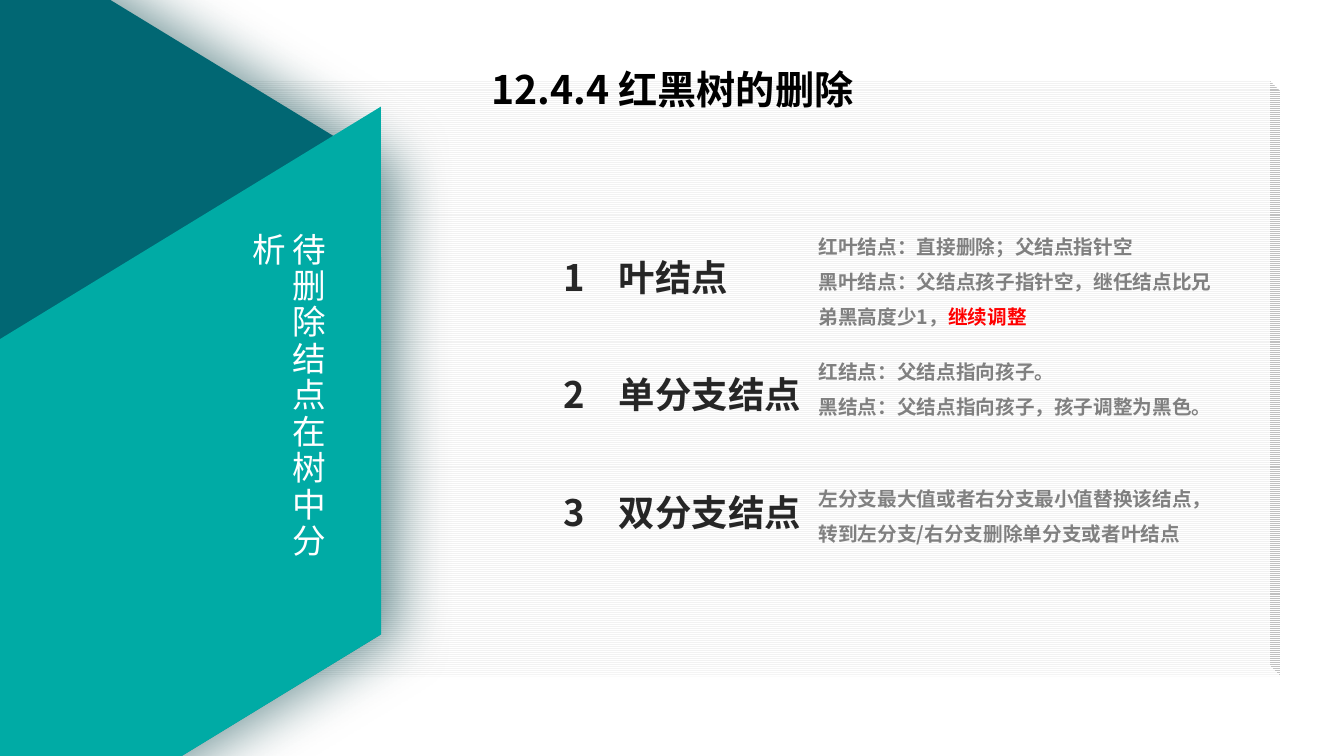
"""Build the slide on deleting nodes from a red-black tree."""
from lxml.etree import SubElement
from pptx import Presentation
from pptx.dml.color import RGBColor
from pptx.enum.dml import MSO_PATTERN
from pptx.enum.shapes import MSO_SHAPE as SHAPE
from pptx.enum.text import MSO_ANCHOR as ANCHOR, PP_ALIGN as ALIGN
from pptx.oxml import parse_xml
from pptx.oxml.ns import nsdecls, qn
from pptx.util import Inches, Pt

WHITE = RGBColor(0xFF, 0xFF, 0xFF)
BLACK = RGBColor(0x00, 0x00, 0x00)
PALE = RGBColor(0xF2, 0xF2, 0xF2)
DARK = RGBColor(0x26, 0x26, 0x26)
GRAY = RGBColor(0x80, 0x80, 0x80)
RED = RGBColor(0xFF, 0x00, 0x00)
TEAL = RGBColor(0x00, 0xAB, 0xA5)
DEEP = RGBColor(0x01, 0x67, 0x73)
DEEP_END = RGBColor(0x00, 0x76, 0x84)
SANS = "Noto Sans CJK SC"

prs = Presentation()
prs.slide_width, prs.slide_height = Inches(13.33), Inches(7.5)
s = prs.slides.add_slide(prs.slide_layouts[6])


def add_plain(kind, box, adj, rotation=0):
    sp = s.shapes.add_shape(kind, *map(Inches, box))
    sp.adjustments[0] = adj
    sp.rotation = rotation
    sp.shadow.inherit = False
    sp.line.fill.background()
    return sp


def add_text(box, paragraphs, size, color, spacing=1, bold=True, font=SANS, insets=(0, 0, 0, 0)):
    tf = s.shapes.add_textbox(*map(Inches, box)).text_frame
    tf.word_wrap = True
    tf.margin_left, tf.margin_top, tf.margin_right, tf.margin_bottom = map(Inches, insets)
    for i, runs in enumerate(paragraphs):
        p = tf.paragraphs[0] if i == 0 else tf.add_paragraph()
        p.line_spacing = spacing
        p.font.size, p.font.bold, p.font.name = Pt(size), bold, font
        p.font.color.rgb = color
        SubElement(p._p.pPr.find(qn("a:defRPr")), qn("a:ea"), typeface=font)
        for text in runs:
            p.add_run().text = text
    return tf


panel = add_plain(SHAPE.CUBE, (0, 0.8, 12.7, 5.91), 0.018)
panel._element.spPr.find(qn("a:xfrm")).set("flipV", "1")
panel.fill.patterned()
panel.fill.pattern = MSO_PATTERN.LIGHT_HORIZONTAL
panel.fill.fore_color.rgb, panel.fill.back_color.rgb = PALE, WHITE

hexagon = add_plain(SHAPE.HEXAGON, (-6.21, -0.79, 10.46, 9.51), 0.305, 90)
hexagon.adjustments[1] = 1.155
hexagon.fill.gradient()
hexagon.fill.gradient_angle = 270
for stop, position, color in zip(hexagon.fill.gradient_stops, (0.77, 1), (DEEP, DEEP_END)):
    stop.position, stop.color.rgb = position, color
hexagon._element.spPr.find(qn("a:effectLst")).append(parse_xml(
    f'<a:outerShdw {nsdecls("a")} blurRad="{Pt(40)}" dist="{Pt(13)}" dir="0" algn="l" rotWithShape="0">'
    '<a:srgbClr val="013F45"><a:alpha val="55000"/></a:srgbClr></a:outerShdw>'))

band = add_plain(SHAPE.PARALLELOGRAM, (-2.74, 2.89, 8.29, 4.47), 0.61, 328.6)
band.fill.solid()
band.fill.fore_color.rgb = TEAL

cases = ["叶结点", "单分支结点", "双分支结点"]
tf = add_text((5.49, 1.88, 4.79, 4.24), [[f"{n}\t{case}"] for n, case in enumerate(cases, 1)],
              26, DARK, 2.5, insets=(0.1, 0, 0.1, 0.05))
for p in tf.paragraphs:
    p.space_before = Pt(6)
    p._p.pPr.find(qn("a:defRPr")).addprevious(parse_xml(
        f'<a:tabLst {nsdecls("a")}><a:tab pos="{Inches(0.55)}" algn="l"/></a:tabLst>'))

tf = add_text((2.71, 2.21, 0.6, 3.75), [["待删除结点在树中分析"]], 24, WHITE,
              bold=False, font="Arial", insets=(0.1, 0.05, 0.1, 0.05))
tf._txBody.bodyPr.set("vert", "eaVert")
tf.paragraphs[0]._p.pPr.find(qn("a:defRPr")).set("spc", "200")

details = [
    (2.21, 1.06, [["红叶结点：直接删除；父结点指针空"],
                  ["黑叶结点：父结点孩子指针空，继任结点比兄弟黑高度少1，", "继续调整"]]),
    (3.45, 0.71, [["红结点：父结点指向孩子。"], ["黑结点：父结点指向孩子，孩子调整为黑色。"]]),
    (4.71, 0.71, [["左分支最大值或者右分支最小值替换该结点，转到左分支/右分支删除单分支或者叶结点"]]),
]
for top, height, paragraphs in details:
    tf = add_text((8.12, top, 4.07, height), paragraphs, 14, GRAY, 1.5)
    for p in tf.paragraphs:
        for r in p.runs[1:]:
            r.font.color.rgb = RED

tf = add_text((0.92, 0.4, 11.5, 1.02), [["12.4.4 红黑树的删除"]], 28, BLACK, 0.9,
              insets=(0.1, 0.05, 0.1, 0.05))
tf.vertical_anchor = ANCHOR.MIDDLE
tf.paragraphs[0].alignment = ALIGN.CENTER

prs.save("out.pptx")
